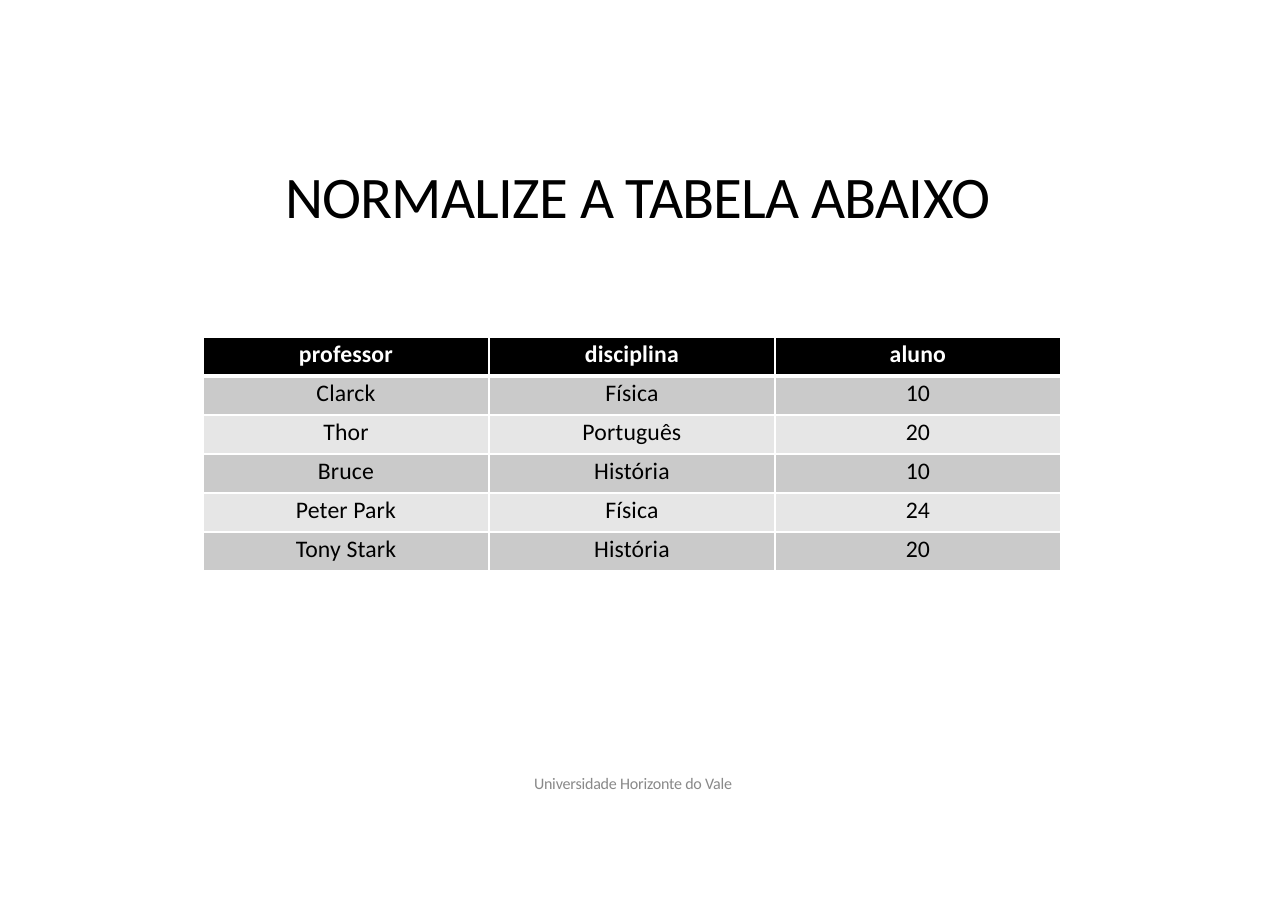
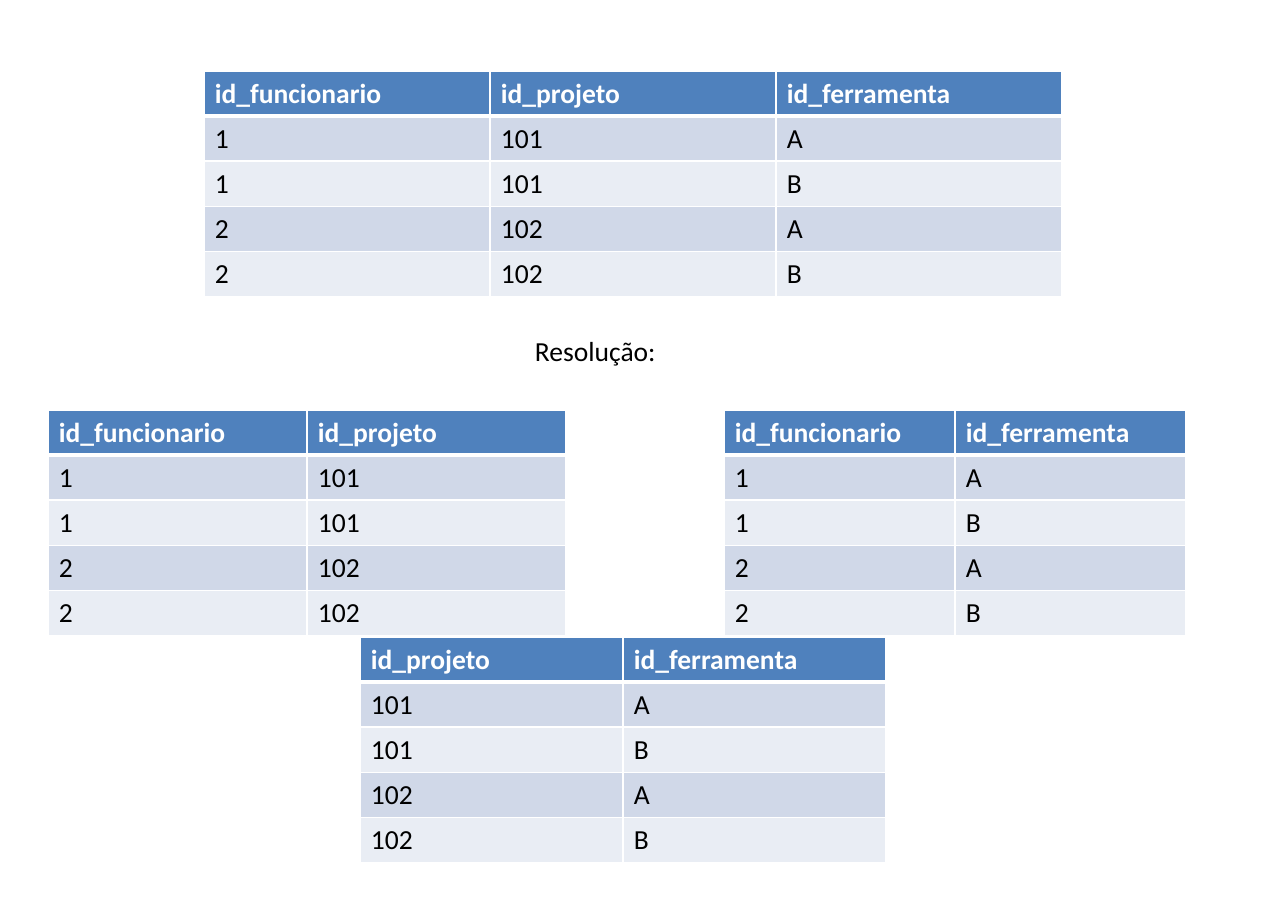
from lxml import etree
from pptx import Presentation
from pptx.dml.color import RGBColor
from pptx.enum.text import PP_ALIGN
from pptx.oxml.ns import qn
from pptx.util import Pt

LEFT, CENTER = PP_ALIGN.LEFT, PP_ALIGN.CENTER
PX = 8300  # EMU in one px
WIDE, HIGH = 1288, 911
FONT = "Calibri"
HEX = {"ink": "000000", "paper": "FFFFFF", "mute": "898989"}

# Table looks: fills of head and bands, text style, insets (left, top, right, bottom)
GRAY = {"head": "000000", "bands": ("CACACA", "E6E6E6"), "size": 15.5, "space": 0.1,
        "align": CENTER, "before": 2.4, "inset": (0, 3, 0, 0), "row": 39}
BLUE = {"head": "4F81BD", "bands": ("D0D8E8", "E9EDF4"), "size": 18, "space": 0,
        "align": LEFT, "before": 0, "inset": (11, 6, 11, 6), "row": 44}

STAFF = [("professor", "disciplina", "aluno"),
         ("Clarck", "Física", "10"),
         ("Thor", "Português", "20"),
         ("Bruce", "História", "10"),
         ("Peter Park", "Física", "24"),
         ("Tony Stark", "História", "20")]
WORK = [("id_funcionario", "id_projeto", "id_ferramenta"),
        ("1", "101", "A"),
        ("1", "101", "B"),
        ("2", "102", "A"),
        ("2", "102", "B")]


def rgb(code):
    return RGBColor.from_string(code)


def style(para, size, color, bold=False, space=0):
    for run in para.runs:
        font = run.font
        font.name, font.size, font.bold = FONT, Pt(size), bold
        font.color.rgb = rgb(color)
        if space:
            run._r.get_or_add_rPr().set("spc", str(round(space * 100)))


def pad(item, inset):
    (item.margin_left, item.margin_top,
     item.margin_right, item.margin_bottom) = [n * PX for n in inset]


def label(slide, box, text, size, color, space=0, inset=(0, 0, 0, 0)):
    frame = slide.shapes.add_textbox(*[n * PX for n in box]).text_frame
    frame.word_wrap = True
    pad(frame, inset)
    frame.text = text
    para = frame.paragraphs[0]
    style(para, size, color, space=space)
    return para


def edge(cell, row):
    # White rules, thick between head and body
    thick = {"lnT": row == 1, "lnB": row == 0}
    props = cell._tc.get_or_add_tcPr()
    for i, side in enumerate(("lnL", "lnR", "lnT", "lnB")):
        line = etree.Element(qn("a:" + side), w=str(Pt(3 if thick.get(side) else 1)))
        fill = etree.SubElement(line, qn("a:solidFill"))
        etree.SubElement(fill, qn("a:srgbClr"), val=HEX["paper"])
        props.insert(i, line)


def grid(slide, left, top, col, rows, look):
    count = len(rows[0])
    table = slide.shapes.add_table(len(rows), count, left * PX, top * PX, col * count * PX,
                                   look["row"] * len(rows) * PX).table
    for part in table.columns:
        part.width = col * PX
    for r, row in enumerate(rows):
        head = r == 0
        for c, text in enumerate(row):
            cell = table.cell(r, c)
            pad(cell, look["inset"])
            cell.fill.solid()
            cell.fill.fore_color.rgb = rgb(look["head"] if head else look["bands"][(r - 1) % 2])
            edge(cell, r)
            cell.text_frame.text = text
            para = cell.text_frame.paragraphs[0]
            para.alignment = look["align"]
            para.space_before = Pt(look["before"])
            style(para, look["size"], HEX["paper" if head else "ink"], head, look["space"])


def pick(*cols):
    return [[row[c] for c in cols] for row in WORK]


def task(slide):
    # Footer, title and table to normalize
    foot = label(slide, (534, 776, 240, 19), "Universidade Horizonte do Vale",
                 10.5, HEX["mute"], -0.1)
    foot.line_spacing = Pt(11)
    title = label(slide, (285, 158, 730, 74), "NORMALIZE A TABELA ABAIXO",
                  38.5, HEX["ink"], -0.5, (0, 2, 0, 0))
    title.space_before = Pt(1.1)
    grid(slide, 203, 337, 286, STAFF, GRAY)


def answer(slide):
    # Full table, then its three pairs of columns
    grid(slide, 204, 71, 286, WORK, BLUE)
    grid(slide, 48, 410, 259, pick(0, 1), BLUE)
    grid(slide, 360, 637, 263, pick(1, 2), BLUE)
    grid(slide, 724, 410, 231, pick(0, 2), BLUE)
    label(slide, (524, 328, 150, 44), "Resolução:", 18, HEX["ink"], inset=BLUE["inset"])


def main():
    deck = Presentation()
    deck.slide_width, deck.slide_height = WIDE * PX, HIGH * PX
    for draw in (task, answer):
        draw(deck.slides.add_slide(deck.slide_layouts[6]))
    deck.save("out.pptx")


if __name__ == "__main__":
    main()
